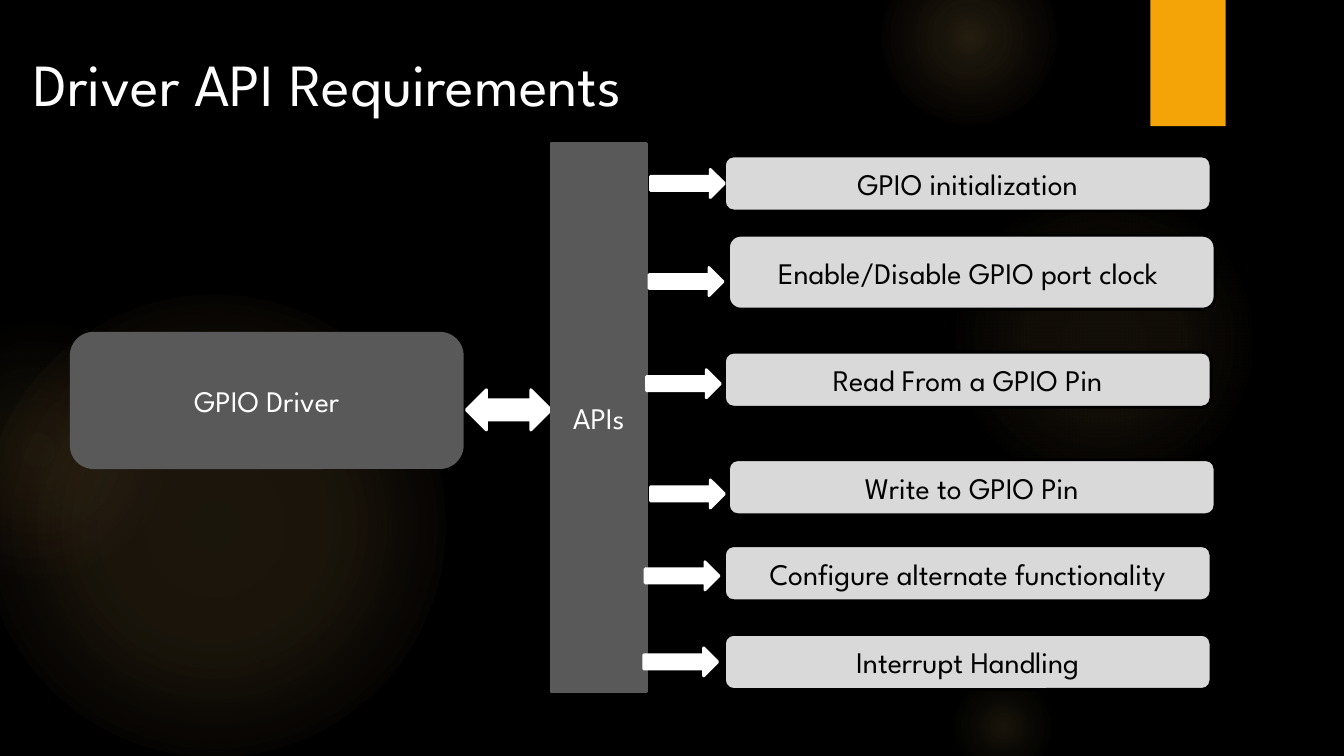
import pptx
import pptx.util
import pptx.dml.color
import pptx.enum.shapes
import pptx.enum.text
import pptx.oxml

Inches = pptx.util.Inches
Pt = pptx.util.Pt
SHAPES = pptx.enum.shapes.MSO_SHAPE
ANCHOR = pptx.enum.text.MSO_ANCHOR
ALIGN = pptx.enum.text.PP_ALIGN

FONT = "League Spartan"
BLACK, WHITE, DARK, LIGHT, ORANGE = "000000", "FFFFFF", "595959", "D9D9D9", "F5A408"
GOLD, PEACH = "FAC96A", "F59B74"
DRAWING_NS = "http://schemas.openxmlformats.org/drawingml/2006/main"

GLOWS = [
    (-0.13, 2.19, 3.44, [(0, GOLD, 11), (36, GOLD, 10), (75, GOLD, 0)]),
    (-0.69, 2.38, 1.94, [(0, GOLD, 8), (36, GOLD, 5), (71, PEACH, 0)]),
    (7.06, 1.38, 2.31, [(0, GOLD, 7), (36, GOLD, 6), (69, GOLD, 0)]),
    (6.56, -0.38, 1.31, [(0, GOLD, 14), (36, GOLD, 7), (73, GOLD, 0)]),
    (7.06, 5, 0.81, [(0, GOLD, 10), (31, GOLD, 5), (66, GOLD, 0)]),
]

REQUIREMENTS = [
    (" GPIO initialization ", 5.39, 1.16, 0.41, 4.84, 1.26),
    ("Enable/Disable GPIO port clock ", 5.42, 1.75, 0.55, 4.83, 1.99),
    ("Read From a GPIO Pin", 5.39, 2.62, 0.41, 4.81, 2.75),
    ("Write to GPIO Pin", 5.42, 3.42, 0.41, 4.84, 3.57),
    ("Configure alternate functionality", 5.39, 4.06, 0.41, 4.8, 4.18),
    ("Interrupt Handling", 5.39, 4.72, 0.41, 4.79, 4.82),
]


def rgb(value):
    return pptx.dml.color.RGBColor.from_string(value)


def add_run(paragraph, text, size, color):
    run = paragraph.add_run()
    run.text = text
    run.font.name = FONT
    run.font.size = Pt(size)
    run.font.color.rgb = rgb(color)


def add_block(slide, preset, left, top, width, height, fill, line=None):
    block = slide.shapes.add_shape(
        preset, Inches(left), Inches(top), Inches(width), Inches(height)
    )
    block.shadow.inherit = False
    block.fill.solid()
    block.fill.fore_color.rgb = rgb(fill)
    if line:
        block.line.color.rgb = rgb(line)
        block.line.width = Pt(1.5)
    else:
        block.line.fill.background()
    return block


def add_label(block, text, color):
    frame = block.text_frame
    frame.word_wrap = True
    frame.vertical_anchor = ANCHOR.MIDDLE
    paragraph = frame.paragraphs[0]
    paragraph.alignment = ALIGN.CENTER
    add_run(paragraph, text, 16, color)


def add_glow(slide, left, top, diameter, stops):
    glow = add_block(slide, SHAPES.OVAL, left, top, diameter, diameter, GOLD)
    stop_xml = "".join(
        f'<a:gs pos="{position * 1000}"><a:srgbClr val="{color}">'
        f'<a:alpha val="{opacity * 1000}"/></a:srgbClr></a:gs>'
        for position, color, opacity in stops
    )
    gradient = pptx.oxml.parse_xml(
        f'<a:gradFill xmlns:a="{DRAWING_NS}" rotWithShape="1">'
        f"<a:gsLst>{stop_xml}</a:gsLst>"
        '<a:path path="circle"><a:fillToRect l="50000" t="50000" r="50000" b="50000"/>'
        "</a:path></a:gradFill>"
    )
    properties = glow.element.spPr
    properties.replace(properties.find(f"{{{DRAWING_NS}}}solidFill"), gradient)


def add_title(slide, text):
    title = slide.shapes.title
    title.left, title.top = Inches(0.15), Inches(0.3)
    title.width, title.height = Inches(6.61), Inches(1.18)
    frame = title.text_frame
    frame.word_wrap = True
    frame.auto_size = pptx.enum.text.MSO_AUTO_SIZE.NONE
    frame.vertical_anchor = ANCHOR.TOP
    paragraph = frame.paragraphs[0]
    paragraph.alignment = ALIGN.LEFT
    add_run(paragraph, text, 32, WHITE)


def add_requirement(slide, text, left, top, height, arrow_left, arrow_top):
    box = add_block(
        slide, SHAPES.FLOWCHART_ALTERNATE_PROCESS, left, top, 3.62, height, LIGHT, BLACK
    )
    add_label(box, text, BLACK)
    add_block(
        slide, SHAPES.RIGHT_ARROW, arrow_left, arrow_top, 0.55, 0.21, WHITE, WHITE
    )


def main():
    presentation = pptx.Presentation()
    presentation.slide_width = Inches(10)
    presentation.slide_height = Inches(10 * 9 / 16)
    slide = presentation.slides.add_slide(presentation.slide_layouts[5])
    slide.background.fill.solid()
    slide.background.fill.fore_color.rgb = rgb(BLACK)

    for glow in GLOWS:
        add_glow(slide, *glow)
    add_block(slide, SHAPES.RECTANGLE, 8.56, 0, 0.56, 0.94, ORANGE)
    add_title(slide, "Driver API Requirements")

    driver = add_block(
        slide, SHAPES.FLOWCHART_ALTERNATE_PROCESS, 0.53, 2.48, 2.91, 1, DARK, DARK
    )
    add_label(driver, "GPIO Driver", WHITE)
    add_block(slide, SHAPES.LEFT_RIGHT_ARROW, 3.47, 2.9, 0.63, 0.3, WHITE, WHITE)
    apis = add_block(slide, SHAPES.RECTANGLE, 4.1, 1.07, 0.71, 4.08, DARK, DARK)
    add_label(apis, "APIs", WHITE)
    for requirement in REQUIREMENTS:
        add_requirement(slide, *requirement)

    presentation.save("out.pptx")


if __name__ == "__main__":
    main()
